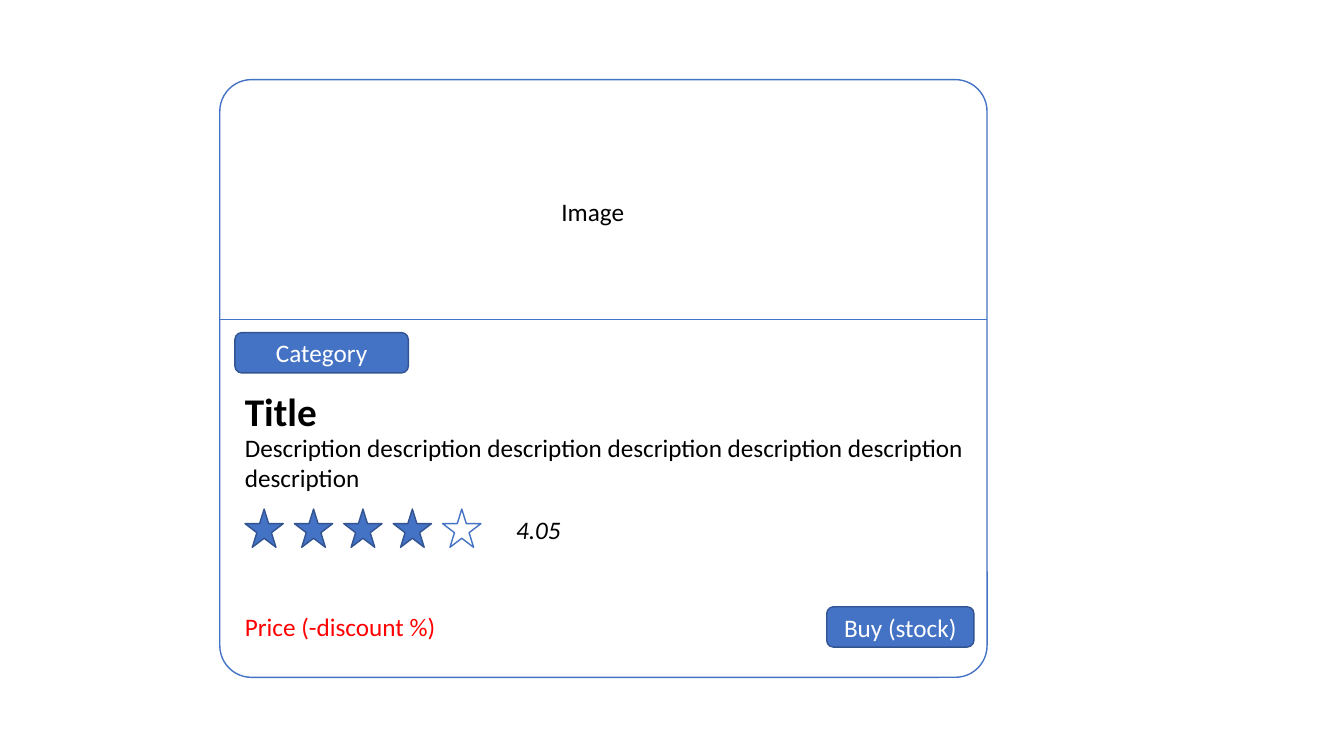
from dataclasses import dataclass

from lxml import etree
from pptx import Presentation
from pptx.dml.color import RGBColor
from pptx.enum.shapes import MSO_CONNECTOR, MSO_SHAPE
from pptx.enum.text import MSO_ANCHOR, MSO_AUTO_SIZE, PP_ALIGN
from pptx.oxml.ns import qn
from pptx.util import Inches, Pt


@dataclass(frozen=True)
class Theme:
    font: str = "Calibri"
    accent: RGBColor = RGBColor(0x44, 0x72, 0xC4)
    accent_dark: RGBColor = RGBColor(0x32, 0x54, 0x91)
    white: RGBColor = RGBColor(0xFF, 0xFF, 0xFF)
    ink: RGBColor = RGBColor(0, 0, 0)
    sale: RGBColor = RGBColor(0xFF, 0, 0)
    body: int = 18
    title: int = 28
    outline: float = 1
    hairline: float = 0.5


THEME = Theme()


def add_run(tf, text, color, size=THEME.body, bold=None, italic=None):
    p = tf.paragraphs[0]
    r = p.add_run()
    r.text = text
    r.font.name = THEME.font
    r.font.size = Pt(size)
    r.font.bold = bold
    r.font.italic = italic
    r.font.color.rgb = color
    return p


def add_label(slide, x, y, w, h, text, color=THEME.ink, wrap=False, **style):
    tf = slide.shapes.add_textbox(Inches(x), Inches(y), Inches(w), Inches(h)).text_frame
    tf.word_wrap = wrap
    tf.auto_size = MSO_AUTO_SIZE.SHAPE_TO_FIT_TEXT
    add_run(tf, text, color, **style)


def add_filled(slide, kind, x, y, w, h, fill=THEME.accent, line=THEME.accent_dark):
    sp = slide.shapes.add_shape(kind, Inches(x), Inches(y), Inches(w), Inches(h))
    sp.shadow.inherit = False
    sp.fill.solid()
    sp.fill.fore_color.rgb = fill
    sp.line.color.rgb = line
    sp.line.width = Pt(THEME.outline)
    return sp


def add_button(slide, x, y, w, h, text):
    tf = add_filled(slide, MSO_SHAPE.ROUNDED_RECTANGLE, x, y, w, h).text_frame
    tf.word_wrap = True
    tf.vertical_anchor = MSO_ANCHOR.MIDDLE
    add_run(tf, text, THEME.white).alignment = PP_ALIGN.CENTER


def add_divider(slide, x, y, w):
    line = slide.shapes.add_connector(
        MSO_CONNECTOR.STRAIGHT, Inches(x), Inches(y), Inches(x + w), Inches(y))
    line.line.color.rgb = THEME.accent
    line.line.width = Pt(THEME.hairline)
    etree.SubElement(line._element.spPr, qn("a:effectLst"))


def add_rating(slide, x, y, score, stars=5, size=0.38, pitch=0.49):
    """Draw a row of stars, filled up to the whole part of the score."""
    for i in range(stars):
        colors = {} if i < int(score) else {"fill": THEME.white, "line": THEME.accent}
        add_filled(slide, MSO_SHAPE.STAR_5_POINT, x + i * pitch, y, size, size, **colors)
    add_label(slide, x + stars * pitch + 0.14, y, 0.65, 0.4, f"{score:.2f}", italic=True)


def add_image_area(slide, x, y, w, h):
    add_divider(slide, x, y + h, w)
    add_label(slide, x + 3.29, y + 1.11, 0.83, 0.4, "Image")


def add_details(slide, x, y, w):
    pad = 0.15
    left, inner = x + pad, w - 2 * pad
    add_label(slide, left, y + 0.62, 0.92, 0.57, "Title", size=THEME.title, bold=True)
    add_label(slide, left, y + 1.07, inner + 0.02, 0.71,
              " ".join(["Description"] + ["description"] * 6), wrap=True)
    add_button(slide, left, y + 0.13, 1.72, 0.4, "Category")
    add_rating(slide, left + 0.1, y + 1.88, 4.05)
    add_label(slide, left, y + 2.85, 2.11, 0.4, "Price (-discount %)", THEME.sale)
    buy_w = 1.46
    add_button(slide, left + inner - buy_w + 0.02, y + 2.85, buy_w, 0.4, "Buy (stock)")


def add_product_card(slide, x, y, w, h, image_h):
    card = add_filled(slide, MSO_SHAPE.ROUNDED_RECTANGLE, x, y, w, h,
                      THEME.white, THEME.accent)
    card.adjustments[0] = 0.053
    add_image_area(slide, x, y, w, image_h)
    add_details(slide, x, y + image_h, w)


def main():
    prs = Presentation()
    prs.slide_width, prs.slide_height = Inches(13.33), Inches(7.5)
    slide = prs.slides.add_slide(prs.slide_layouts[6])
    add_product_card(slide, 2.18, 0.79, 7.61, 5.93, image_h=2.38)
    prs.save("out.pptx")


if __name__ == "__main__":
    main()
